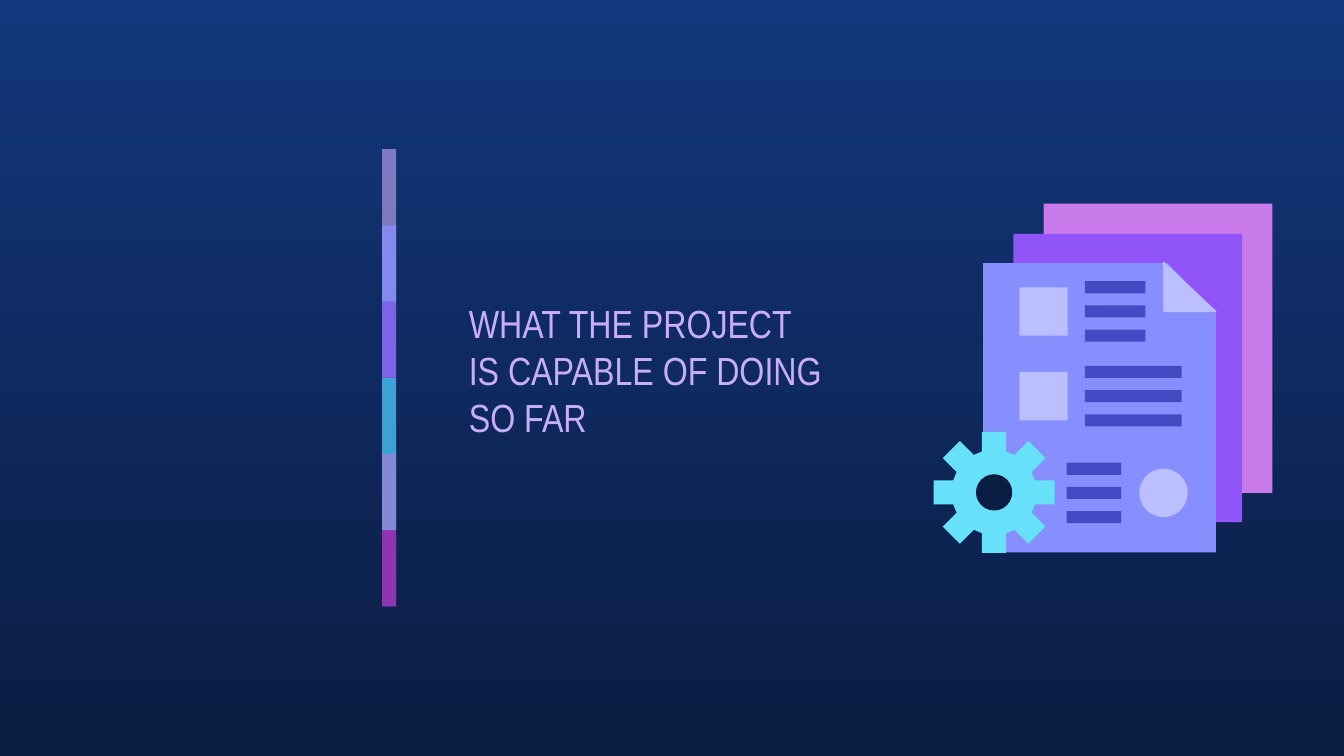
import math

import pptx
import pptx.dml.color
import pptx.enum.shapes
import pptx.enum.text
import pptx.oxml
import pptx.oxml.ns
import pptx.util

Inches = pptx.util.Inches
SHAPES = pptx.enum.shapes.MSO_SHAPE

TITLE = "WHAT THE PROJECT IS CAPABLE OF DOING SO FAR"
COLORS = {
    "sky": "13367C", "night": "0A1D42", "lavender": "C8AEF8",
    "periwinkle": "878FFF", "violet": "9154F8", "teal": "35C2DF",
    "orchid": "CA7BEB", "purple": "972CB4", "cyan": "67E0F9",
    "pale": "BBBFFF", "indigo": "424BC4",
}
STRIPE = [("lavender", 59), ("periwinkle", 74), ("violet", 53),
          ("teal", 76), ("orchid", 56), ("purple", 74)]
STRIPE_LEFT, STRIPE_TOP, STRIPE_WIDTH, STRIPE_STEP = 3.79, 1.48, 0.14, 0.756
PAGES = [
    ("orchid", [(10.35, 2.02), (10.35, 2.32), (12.32, 2.32), (12.32, 4.89),
                (12.62, 4.89), (12.62, 2.02)]),
    ("violet", [(10.05, 2.32), (10.05, 2.61), (11.54, 2.61), (12.02, 3.09),
                (12.02, 5.18), (12.32, 5.18), (12.32, 2.32)]),
    ("periwinkle", [(9.75, 2.61), (9.75, 5.48), (12.06, 5.48),
                    (12.06, 3.11), (11.58, 2.61)]),
]
FOLD = [(11.54, 2.6), (11.54, 3.09), (12.06, 3.09)]
GEAR_CENTER = (9.86, 4.885)
GEAR_TEETH, TOOTH_HALF, GEAR_TIP, GEAR_ROOT, GEAR_BODY = 8, 0.12, 0.6, 0.405, 0.42
HOLE_SIZE, BADGE_SIZE = 0.36, 0.48
BADGES = [(SHAPES.RECTANGLE, 10.11, 2.85), (SHAPES.RECTANGLE, 10.11, 3.69),
          (SHAPES.OVAL, 11.3, 4.65)]
TEXT_BLOCKS = [(10.76, 2.79, 0.6), (10.76, 3.63, 0.96), (10.58, 4.59, 0.54)]
LINES_PER_BLOCK, LINE_STEP, LINE_HEIGHT = 3, 0.24, 0.12


def rgb(name):
    return pptx.dml.color.RGBColor.from_string(COLORS[name])


def paint(shape, color):
    shape.shadow.inherit = False
    shape.fill.solid()
    shape.fill.fore_color.rgb = rgb(color)
    shape.line.fill.background()
    return shape


def add_preset(group, kind, left, top, width, height, color):
    shape = group.shapes.add_shape(
        kind, Inches(left), Inches(top), Inches(width), Inches(height))
    return paint(shape, color)


def add_outline(group, points, color):
    corners = [(Inches(x), Inches(y)) for x, y in points]
    builder = group.shapes.build_freeform(*corners[0])
    builder.add_line_segments(corners[1:], close=True)
    return paint(builder.convert_to_shape(), color)


def set_opacity(shape, percent):
    color = shape.fill._xPr.find(".//" + pptx.oxml.ns.qn("a:srgbClr"))
    color.append(pptx.oxml.parse_xml(
        f'<a:alpha {pptx.oxml.ns.nsdecls("a")} val="{percent * 1000}"/>'))


def gear_points():
    tooth = [(-TOOTH_HALF, -GEAR_ROOT), (-TOOTH_HALF, -GEAR_TIP),
             (TOOTH_HALF, -GEAR_TIP), (TOOTH_HALF, -GEAR_ROOT)]
    half_step = math.pi / GEAR_TEETH
    tooth.append((GEAR_BODY * math.sin(half_step), -GEAR_BODY * math.cos(half_step)))
    points = []
    for index in range(GEAR_TEETH):
        cosine = math.cos(2 * half_step * index)
        sine = math.sin(2 * half_step * index)
        points += [(GEAR_CENTER[0] + x * cosine - y * sine,
                    GEAR_CENTER[1] + x * sine + y * cosine) for x, y in tooth]
    return points


def add_background(slide):
    fill = slide.background.fill
    fill.gradient()
    fill.gradient_angle = 270
    for stop, color, position in zip(fill.gradient_stops, ("sky", "night"), (0, 1)):
        stop.color.rgb = rgb(color)
        stop.position = position


def add_stripe(slide):
    group = slide.shapes.add_group_shape()
    for index, (color, opacity) in enumerate(STRIPE):
        steps = min(2, len(STRIPE) - index)
        segment = add_preset(
            group, SHAPES.RECTANGLE, STRIPE_LEFT, STRIPE_TOP + index * STRIPE_STEP,
            STRIPE_WIDTH, steps * STRIPE_STEP, color)
        set_opacity(segment, opacity)


def add_title(slide):
    title = slide.shapes.title
    title.left, title.top = Inches(4.52), Inches(3.22)
    title.width, title.height = Inches(3.82), Inches(0.89)
    frame = title.text_frame
    frame.text = TITLE
    frame.word_wrap = True
    frame.auto_size = pptx.enum.text.MSO_AUTO_SIZE.NONE
    frame.vertical_anchor = pptx.enum.text.MSO_ANCHOR.MIDDLE
    frame.margin_left = frame.margin_right = Inches(0.13)
    frame.margin_top = frame.margin_bottom = Inches(0.13)
    paragraph = frame.paragraphs[0]
    paragraph.alignment = pptx.enum.text.PP_ALIGN.LEFT
    paragraph.font.name = "Arial Narrow"
    paragraph.font.size = pptx.util.Pt(28)
    paragraph.font.color.rgb = rgb("lavender")


def add_documents(slide):
    group = slide.shapes.add_group_shape()
    for color, points in PAGES:
        add_outline(group, points, color)
    add_outline(group, gear_points(), "cyan")
    add_preset(group, SHAPES.OVAL, GEAR_CENTER[0] - HOLE_SIZE / 2,
               GEAR_CENTER[1] - HOLE_SIZE / 2, HOLE_SIZE, HOLE_SIZE, "night")
    for kind, left, top in BADGES:
        add_preset(group, kind, left, top, BADGE_SIZE, BADGE_SIZE, "pale")
    for left, top, width in TEXT_BLOCKS:
        for row in range(LINES_PER_BLOCK):
            add_preset(group, SHAPES.RECTANGLE, left, top + row * LINE_STEP,
                       width, LINE_HEIGHT, "indigo")
    fold = add_outline(group, FOLD, "pale")
    fold.line.color.rgb = rgb("pale")
    fold.line.width = pptx.util.Pt(0.75)


def main():
    presentation = pptx.Presentation()
    presentation.slide_width = Inches(13.33)
    presentation.slide_height = Inches(7.5)
    slide = presentation.slides.add_slide(presentation.slide_layouts[5])
    add_background(slide)
    add_stripe(slide)
    add_title(slide)
    add_documents(slide)
    presentation.save("out.pptx")


if __name__ == "__main__":
    main()
